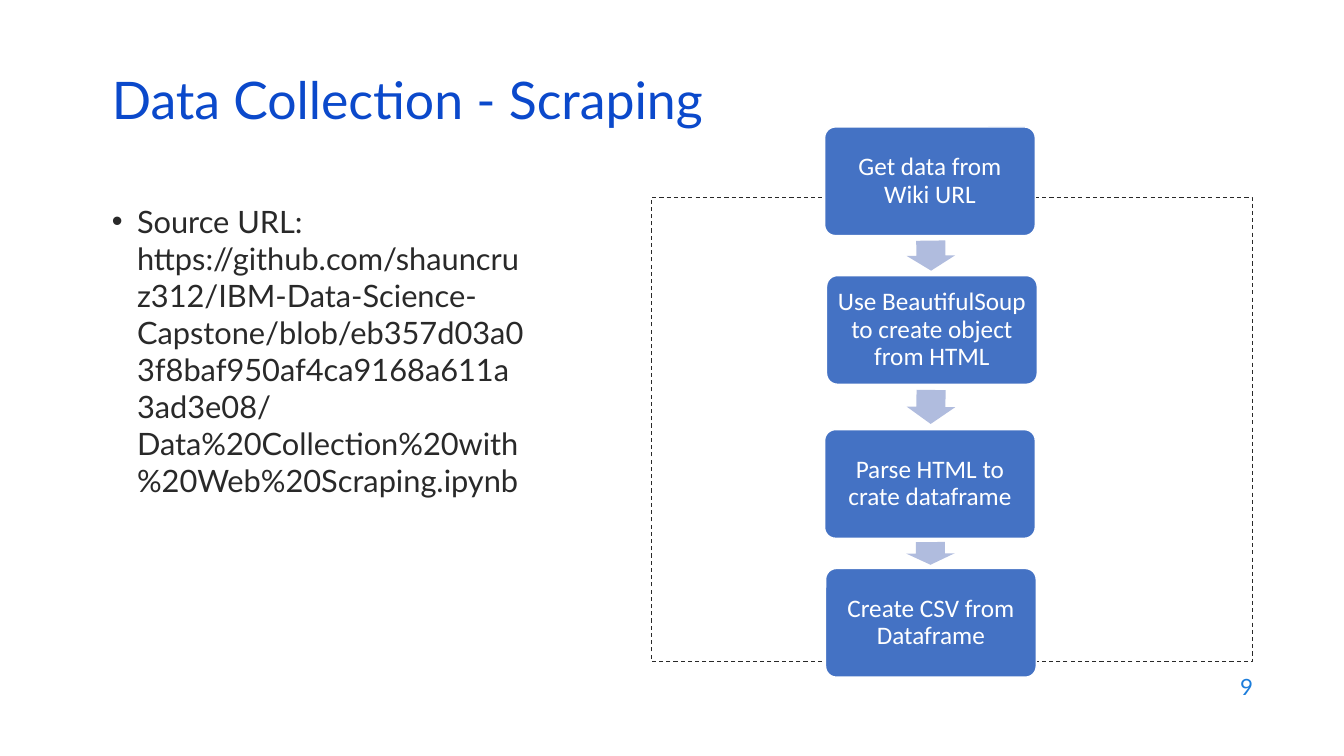
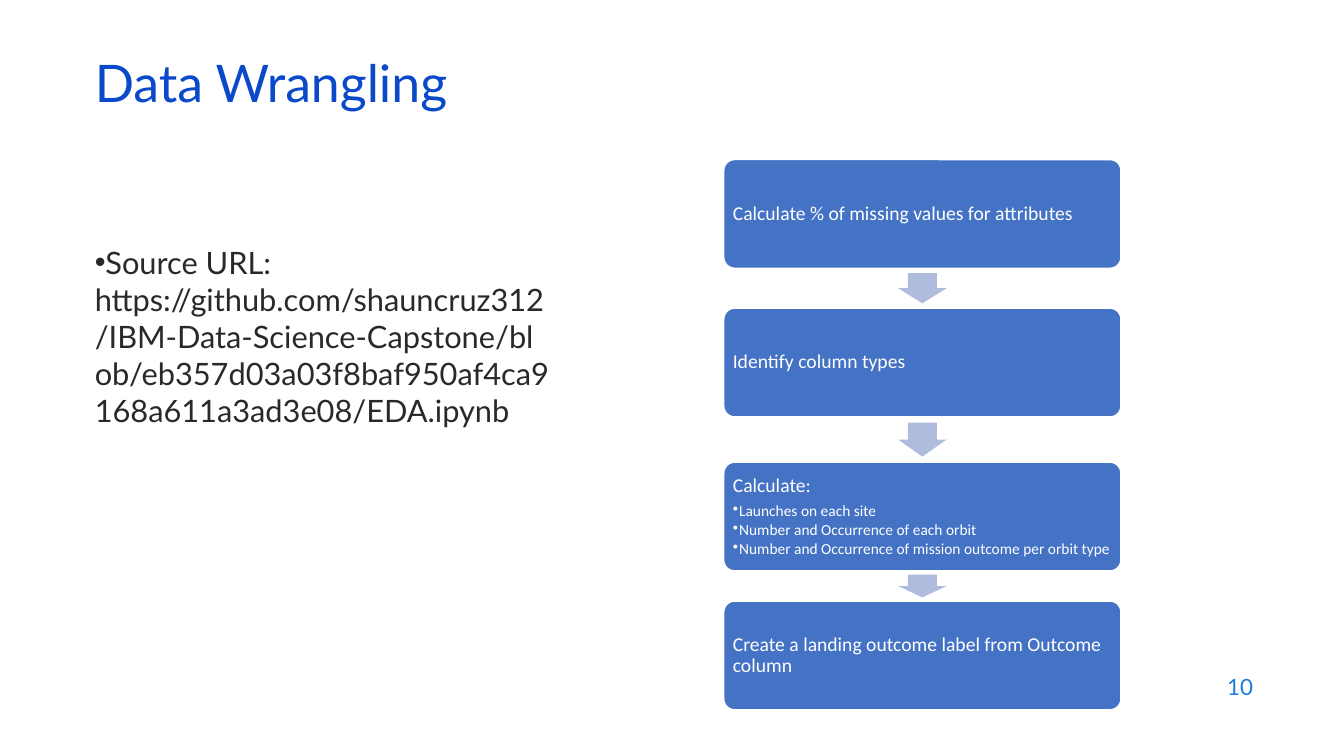
"""Build two data-pipeline slides, each with a source address and a flow of steps."""
import math
from dataclasses import dataclass
from typing import Optional

from lxml import etree
from pptx import Presentation
from pptx import util as u
from pptx.dml import color
from pptx.enum import dml, shapes, text
from pptx.oxml import ns

HEADING, BODY, NUMBER = "0B49CB", "292929", "1C7DDB"
STEP, ARROW, WHITE = "4472C4", "B0BCDE", "FFFFFF"
DECK_FONT, FLOW_FONT = "Lato", "Calibri"
STEP_HEIGHT = 77.6
GAPS = (28.6, 32.4, 21.6)
REPOSITORY = ("https://github.com/shauncruz312/IBM-Data-Science-Capstone/blob/"
              "eb357d03a03f8baf950af4ca9168a611a3ad3e08/")


@dataclass(frozen=True)
class Box:
    left: float
    top: float
    width: float
    height: float

    def lengths(self) -> tuple:
        return tuple(u.Pt(n) for n in (self.left, self.top, self.width, self.height))


@dataclass(frozen=True)
class Step:
    label: str
    details: tuple[str, ...] = ()
    shift: float = 0


@dataclass(frozen=True)
class Flow:
    left: float
    top: float
    width: float
    size: float
    inset: float
    align: text.PP_ALIGN
    steps: tuple[Step, ...]


@dataclass(frozen=True)
class Page:
    number: int
    heading: str
    heading_box: Box
    address: str
    address_box: Box
    hanging: float
    flow: Flow
    panel: Optional[Box] = None


PAGES = (
    Page(9, "Data Collection - Scraping", Box(72.7, 54.7, 828, 43.2),
         "Data%20Collection%20with%20Web%20Scraping.ipynb",
         Box(72.7, 141.1, 309.6, 300.2), 18,
         Flow(589, 90.7, 150.5, 18, 5, text.PP_ALIGN.CENTER, (
             Step("Get data from Wiki URL"),
             Step("Use BeautifulSoup to create object from HTML", shift=1.4),
             Step("Parse HTML to crate dataframe"),
             Step("Create CSV from Dataframe", shift=0.7))),
         Box(465.1, 141.1, 429.8, 331.2)),
    Page(10, "Data Wrangling", Box(60.5, 42.5, 828, 43.2), "EDA.ipynb",
         Box(60.5, 170.4, 339.1, 316), 0,
         Flow(517, 114, 283.7, 14, 4.2, text.PP_ALIGN.LEFT, (
             Step("Calculate % of missing values for attributes"),
             Step("Identify column types"),
             Step("Calculate:", ("Launches on each site",
                                 "Number and Occurrence of each orbit",
                                 "Number and Occurrence of mission outcome per orbit type")),
             Step("Create a landing outcome label from Outcome column")))),
)


def rgb(value: str) -> color.RGBColor:
    return color.RGBColor.from_string(value)


def style(paragraph, font: str, size: float, ink: str, align=text.PP_ALIGN.LEFT,
          spacing: float = 1, after: float = 0) -> None:
    paragraph.alignment = align
    paragraph.line_spacing = spacing
    paragraph.space_before = u.Pt(0)
    paragraph.space_after = u.Pt(after)
    for run in paragraph.runs:
        run.font.name = font
        run.font.size = u.Pt(size)
        run.font.color.rgb = rgb(ink)


def add_bullet(paragraph, hanging: float) -> None:
    properties = paragraph._p.get_or_add_pPr()
    properties.set("marL", str(u.Pt(hanging)))
    properties.set("indent", str(-u.Pt(hanging)))
    etree.SubElement(properties, ns.qn("a:buChar")).set("char", "•")


def place(holder, box: Box, words: str, anchor: text.MSO_ANCHOR):
    holder.left, holder.top, holder.width, holder.height = box.lengths()
    frame = holder.text_frame
    frame.text = words
    frame.word_wrap = True
    frame.auto_size = text.MSO_AUTO_SIZE.NONE
    frame.vertical_anchor = anchor
    return frame.paragraphs[0]


def add_solid(slide, kind: shapes.MSO_SHAPE, box: Box, fill: str):
    solid = slide.shapes.add_shape(kind, *box.lengths())
    solid.shadow.inherit = False
    solid.fill.solid()
    solid.fill.fore_color.rgb = rgb(fill)
    solid.line.fill.background()
    return solid


def add_panel(slide, box: Box) -> None:
    panel = add_solid(slide, shapes.MSO_SHAPE.RECTANGLE, box, WHITE)
    panel.fill.background()
    panel.line.color.rgb = rgb(BODY)
    panel.line.width = u.Pt(0.75)
    panel.line.dash_style = dml.MSO_LINE.DASH


def add_step(slide, flow: Flow, step: Step, box: Box) -> None:
    block = add_solid(slide, shapes.MSO_SHAPE.ROUNDED_RECTANGLE, box, STEP)
    block.adjustments[0] = 0.1
    block.line.color.rgb = rgb(WHITE)
    block.line.width = u.Pt(1)
    frame = block.text_frame
    frame.word_wrap = True
    frame.vertical_anchor = text.MSO_ANCHOR.MIDDLE
    frame.margin_left = frame.margin_right = u.Pt(flow.inset)
    frame.margin_top = frame.margin_bottom = u.Pt(flow.inset)
    frame.text = step.label
    style(frame.paragraphs[0], FLOW_FONT, flow.size, WHITE, flow.align, 0.9,
          flow.size * 0.35 if step.details else 0)
    for detail in step.details:
        item = frame.add_paragraph()
        item.text = detail
        add_bullet(item, 4.5)
        style(item, FLOW_FONT, 11, WHITE, flow.align, 0.9, 1.65)


def add_arrow(slide, start: Box, end: Box) -> None:
    """Draw a block arrow in the gap, turned towards the next step."""
    bottom = start.top + start.height
    gap = end.top - bottom
    width, length = 34.6, gap * 0.75
    middle = (start.left + end.left + start.width) / 2
    arrow = add_solid(slide, shapes.MSO_SHAPE.DOWN_ARROW,
                      Box(middle - width / 2, bottom + (gap - length) / 2, width, length), ARROW)
    arrow.adjustments[0], arrow.adjustments[1] = 0.6, 0.5
    arrow.rotation = -math.degrees(math.atan2(end.left - start.left, end.top - start.top))


def add_flow(slide, flow: Flow) -> None:
    boxes = [Box(flow.left + step.shift, flow.top + i * STEP_HEIGHT + sum(GAPS[:i]),
                 flow.width, STEP_HEIGHT) for i, step in enumerate(flow.steps)]
    for step, box in zip(flow.steps, boxes):
        add_step(slide, flow, step, box)
    for start, end in zip(boxes, boxes[1:]):
        add_arrow(slide, start, end)


def add_page(deck, page: Page) -> None:
    slide = deck.slides.add_slide(deck.slide_layouts[1])
    heading = place(slide.shapes.title, page.heading_box, page.heading, text.MSO_ANCHOR.MIDDLE)
    style(heading, DECK_FONT, 37, HEADING, spacing=0.7)
    address = place(slide.placeholders[1], page.address_box,
                    f"Source URL: {REPOSITORY}{page.address}", text.MSO_ANCHOR.TOP)
    add_bullet(address, page.hanging)
    style(address, DECK_FONT, 22, BODY)
    corner = Box(686.2, 474.5, 216, 31.7)
    number = place(slide.shapes.add_textbox(*corner.lengths()), corner,
                   str(page.number), text.MSO_ANCHOR.MIDDLE)
    style(number, DECK_FONT, 16, NUMBER, text.PP_ALIGN.RIGHT)
    if page.panel:
        add_panel(slide, page.panel)
    add_flow(slide, page.flow)


def main() -> None:
    deck = Presentation()
    deck.slide_width, deck.slide_height = u.Pt(960), u.Pt(540)
    for page in PAGES:
        add_page(deck, page)
    deck.save("out.pptx")


if __name__ == "__main__":
    main()
